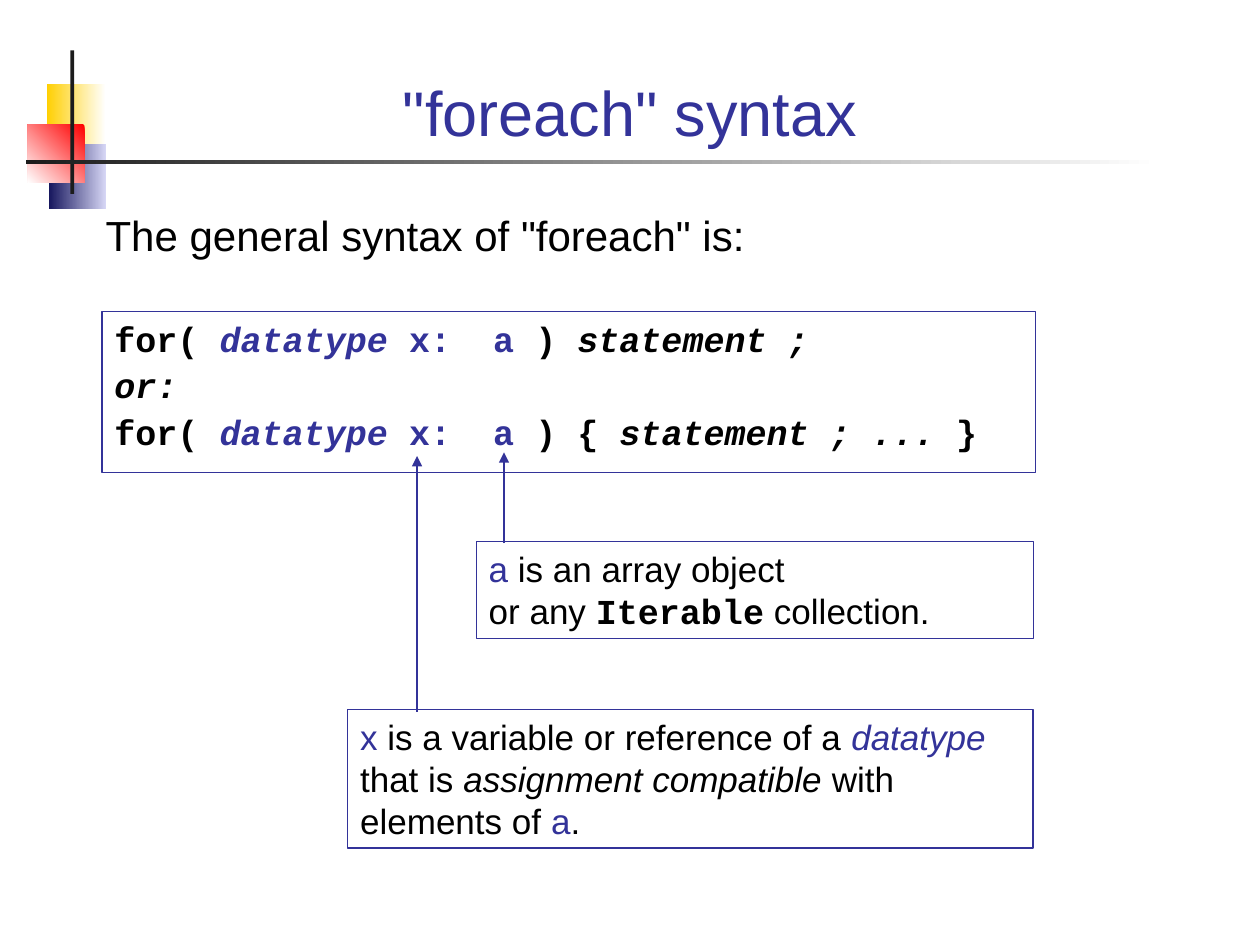
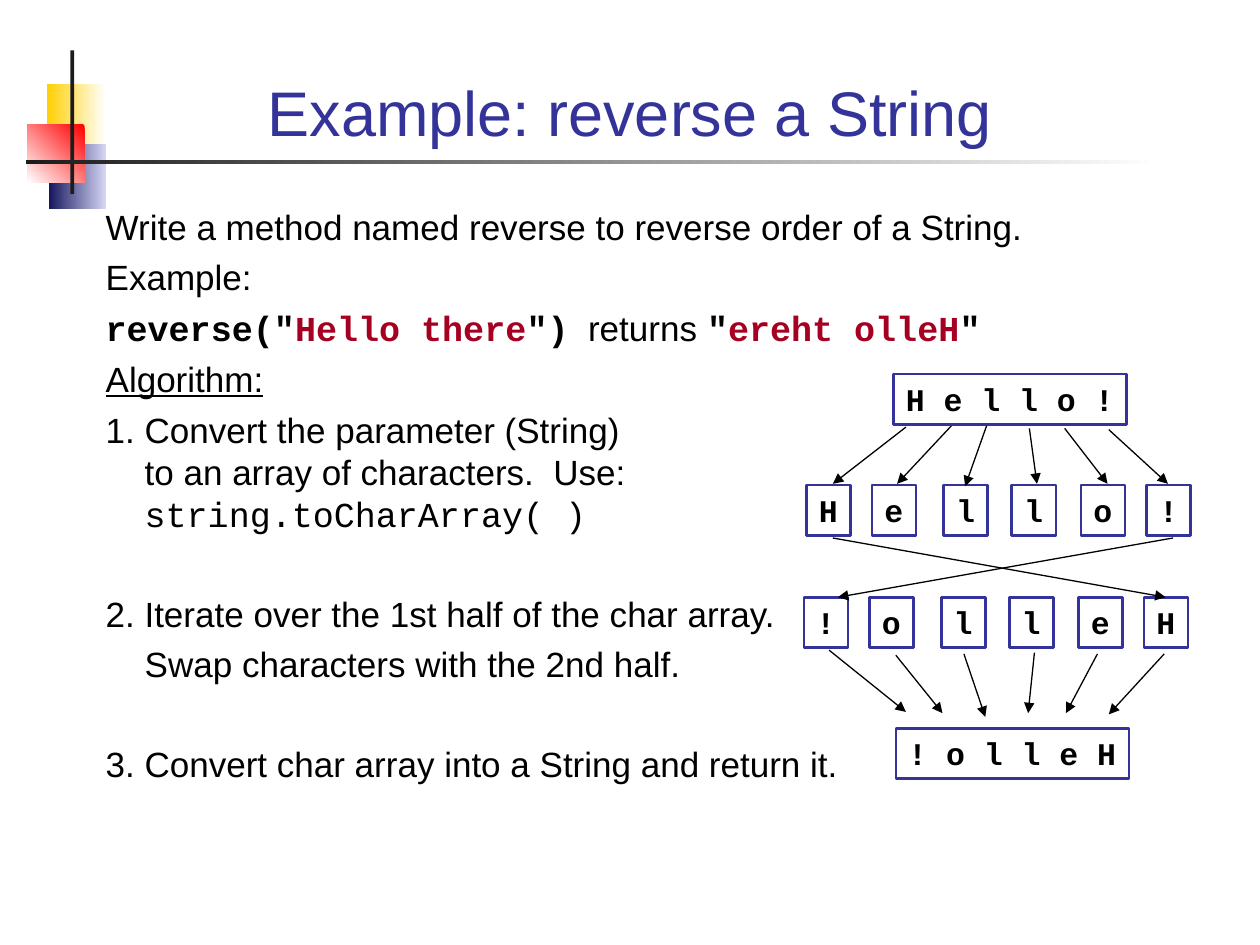
from pptx import Presentation
from pptx.dml.color import RGBColor
from pptx.enum.shapes import MSO_CONNECTOR, MSO_SHAPE
from pptx.enum.text import MSO_ANCHOR, MSO_AUTO_SIZE, PP_ALIGN
from pptx.oxml.ns import qn
from pptx.util import Pt
from lxml.etree import SubElement

PX = 9144  # 100 px to the inch
COLORS = {"navy": "333399", "black": "000000", "white": "FFFFFF", "crimson": "A50021",
          "charcoal": "1C1C1C", "yellow": "FFCF01", "red": "FF0000",
          "lavender": "D6D6F5", "midnight": "17175E"}
RGB = {name: RGBColor.from_string(value) for name, value in COLORS.items()}

# Run formats
NAVY = {"color": "navy"}
ITALIC = {"italic": True}
NAVY_ITALIC = {**NAVY, **ITALIC}
CODE = {"font": "Courier New"}
BOLD_CODE = {**CODE, "bold": True}
STRING = {**BOLD_CODE, "color": "crimson"}


def add_text(slide, box, paragraphs, size=20, font="Arial", color="black", bold=False,
             align=PP_ALIGN.LEFT, anchor=MSO_ANCHOR.TOP, before=0, frame=None,
             fill=None, wrap=True, grow=True):
    """Each paragraph is (layout, run, run, ...); a run is a text or (text, format)."""
    left, top, width, height = [value * PX for value in box]
    if frame:
        shape = slide.shapes.add_shape(MSO_SHAPE.RECTANGLE, left, top, width, height)
        shape.shadow.inherit = False
        shape.line.color.rgb = RGB["navy"]
        shape.line.width = Pt(frame)
        if fill:
            shape.fill.solid()
            shape.fill.fore_color.rgb = RGB[fill]
        else:
            shape.fill.background()
    else:
        shape = slide.shapes.add_textbox(left, top, width, height)
    text_frame = shape.text_frame
    text_frame.word_wrap = wrap
    text_frame.vertical_anchor = anchor
    text_frame.auto_size = MSO_AUTO_SIZE.SHAPE_TO_FIT_TEXT if grow else MSO_AUTO_SIZE.NONE
    for index, (layout, *runs) in enumerate(paragraphs):
        paragraph = text_frame.add_paragraph() if index else text_frame.paragraphs[0]
        paragraph.alignment = align
        paragraph.space_before = Pt(layout.get("before", before))
        properties = paragraph._p.get_or_add_pPr()
        properties.set("marL", str(layout.get("margin", 0) * PX))
        properties.set("indent", str(layout.get("indent", 0) * PX))
        for item in runs:
            text, style = (item, {}) if isinstance(item, str) else item
            for line_number, line in enumerate(text.split("\n")):
                if line_number:
                    paragraph.add_line_break()
                if not line:
                    continue
                run = paragraph.add_run()
                run.text = line
                run.font.size = Pt(size)
                run.font.name = style.get("font", font)
                run.font.bold = style.get("bold", bold)
                run.font.italic = style.get("italic", False)
                run.font.underline = style.get("underline", False)
                run.font.color.rgb = RGB[style.get("color", color)]


def add_arrow(slide, start, end, color="black", width=0.75):
    points = [value * PX for value in (*start, *end)]
    connector = slide.shapes.add_connector(MSO_CONNECTOR.STRAIGHT, *points)
    connector.line.color.rgb = RGB[color]
    connector.line.width = Pt(width)
    SubElement(connector.line._get_or_add_ln(), qn("a:tailEnd"), type="triangle")
    SubElement(connector._element.spPr, qn("a:effectLst"))


presentation = Presentation()
presentation.slide_width = 1000 * PX
presentation.slide_height = 750 * PX

# Shared corner ornament and title: box, start colour, end colour, angle
ORNAMENT = [
    ((37, 67, 47, 52), "white", "yellow", 180),
    ((39, 114, 45, 52), "lavender", "midnight", 180),
    ((22, 99, 45, 46), "red", "white", 225),
    ((56, 40, 3, 114), "charcoal", "charcoal", 180),
    ((21, 127, 899, 3), "white", "charcoal", 180),
]
slides = []
for title in ('"foreach" syntax', "Example: reverse a String"):
    slide = presentation.slides.add_slide(presentation.slide_layouts[6])
    for box, start_color, end_color, angle in ORNAMENT:
        shape = slide.shapes.add_shape(MSO_SHAPE.RECTANGLE, *[value * PX for value in box])
        shape.shadow.inherit = False
        shape.line.fill.background()
        if start_color == end_color:
            shape.fill.solid()
            shape.fill.fore_color.rgb = RGB[start_color]
        else:
            shape.fill.gradient()
            shape.fill.gradient_angle = angle
            for stop, name in zip(shape.fill.gradient_stops, (start_color, end_color)):
                stop.color.rgb = RGB[name]
    add_text(slide, (67, 28, 866, 95), [({}, title)], size=36, color="navy",
             align=PP_ALIGN.CENTER, anchor=MSO_ANCHOR.BOTTOM, grow=False)
    slides.append(slide)
syntax_slide, reverse_slide = slides

# Slide 1: syntax box
loop_head = ["for( ", ("datatype", NAVY_ITALIC), (" x:  a", NAVY)]
add_text(syntax_slide, (81, 247, 741, 128), [
    ({}, *loop_head, " ) ", ("statement ;", ITALIC)),
    ({}, ("or:", ITALIC)),
    ({}, *loop_head, " ) { ", ("statement ; ... ", ITALIC), "}"),
], font="Courier New", bold=True, before=2.5, frame=0.75, grow=False)
add_text(syntax_slide, (74, 161, 884, 50),
         [({}, 'The general syntax of "foreach" is:')], size=24, before=3)

# Slide 1: explanations and their arrows
add_text(syntax_slide, (378, 430, 442, 77), [
    ({}, ("a", NAVY), " is an array object \nor any ", ("Iterable", BOLD_CODE),
     " collection."),
], before=2.5, frame=0.75)
add_text(syntax_slide, (276, 563, 544, 110), [
    ({}, ("x", NAVY), " is a variable or reference of a ", ("datatype", NAVY_ITALIC),
     " that is ", ("assignment compatible", ITALIC), " with elements of ",
     ("a", NAVY), "."),
], before=2.5, frame=0.75)
for start, end in (((400, 431), (400, 359)), ((331, 565), (331, 362))):
    add_arrow(syntax_slide, start, end, color="navy", width=1.5)

# Slide 2: task and algorithm
STEP = {"margin": 31, "indent": -31}
NEXT_STEP = {**STEP, "before": 33}
add_text(reverse_slide, (74, 158, 798, 473), [
    ({}, "Write a method named reverse to reverse order of a String."),
    ({}, "Example:"),
    ({}, ('reverse("', BOLD_CODE), ("Hello there", STRING), ('")', BOLD_CODE),
     "  returns ", ('"', BOLD_CODE), ("ereht olleH", STRING), ('"', BOLD_CODE)),
    ({}, ("Algorithm:", {"underline": True})),
    (STEP, "1. Convert the parameter (String)\nto an array of characters.  Use:\n",
     ("string.toCharArray( )", CODE)),
    (NEXT_STEP, "2. Iterate over the 1st half of the char array."),
    ({"margin": 31}, "Swap characters with the 2nd half."),
    (NEXT_STEP, "3. Convert char array into a String and return it."),
], before=5)

# Slide 2: whole strings and their single letters
LETTER_LEFTS = [640, 692, 749, 803, 858, 910]
text_boxes = [("H e l l o !", 709, 297, 185), ("! o l l e H", 711, 578, 185)]
for word, top, shift in (("Hello!", 385, 0), ("!olleH", 474, -2)):
    text_boxes += [(letter, left + shift, top, 35)
                   for letter, left in zip(word, LETTER_LEFTS)]
for text, left, top, width in text_boxes:
    add_text(reverse_slide, (left, top, width, 40), [({}, text)], size=18,
             font="Courier New", bold=True, before=11.2, frame=1.5, fill="white",
             wrap=False)

# Slide 2: arrows that split, swap and join the letters
split_arrows = [((719, 339), (661, 384)), ((755, 338), (712, 384)),
                ((783, 338), (766, 386)), ((817, 340), (823, 384)),
                ((845, 340), (879, 384)), ((880, 341), (927, 384))]
swap_arrows = [((661, 427), (925, 474)), ((931, 427), (665, 474))]
join_arrows = [((658, 516), (719, 565)), ((711, 520), (748, 566)),
               ((765, 519), (782, 569)), ((821, 518), (816, 566)),
               ((871, 519), (846, 566)), ((924, 519), (880, 567))]
for start, end in split_arrows + swap_arrows + join_arrows:
    add_arrow(reverse_slide, start, end)

presentation.save("out.pptx")
